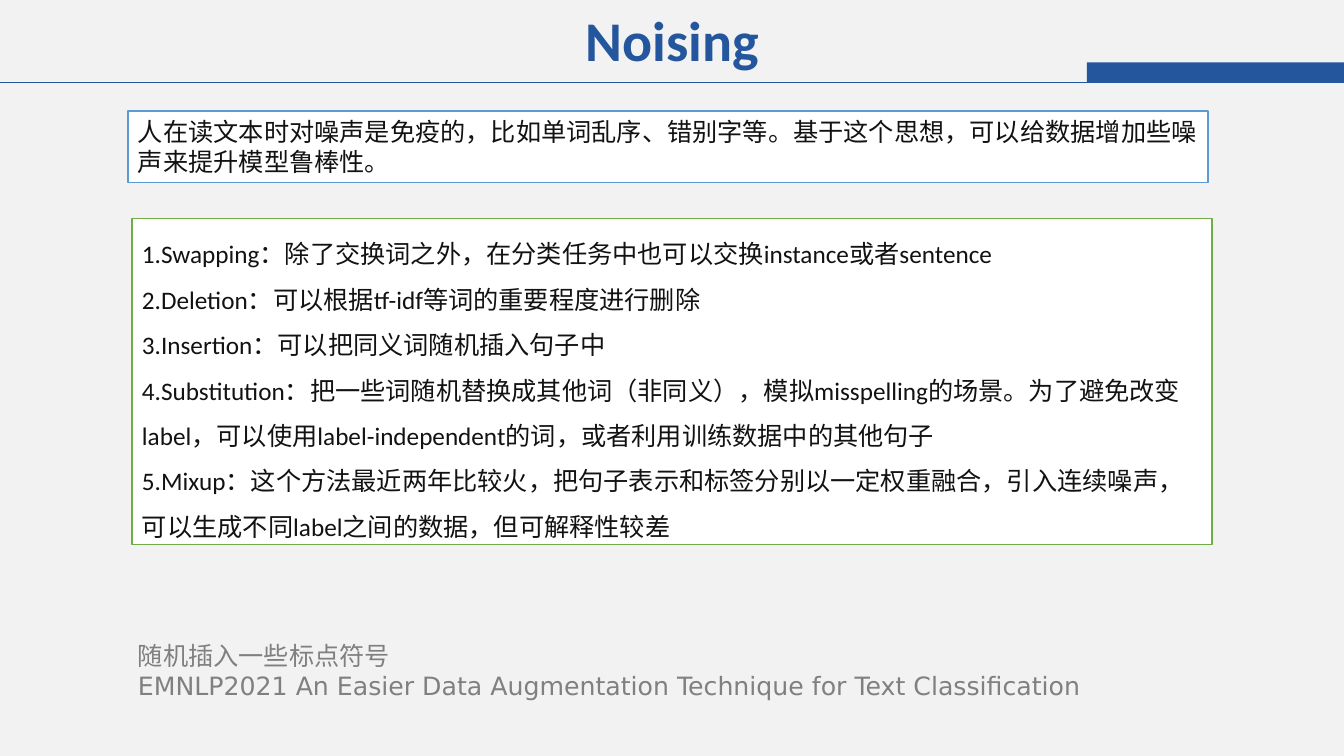
"""Build the Noising slide: title, premise, five methods and a source note."""
from lxml import etree
from pptx import Presentation
from pptx.dml.color import RGBColor
from pptx.enum.shapes import MSO_CONNECTOR, MSO_SHAPE
from pptx.enum.text import MSO_ANCHOR, MSO_AUTO_SIZE, PP_ALIGN
from pptx.oxml.ns import qn
from pptx.util import Inches, Pt

RECT, LINE = MSO_SHAPE.RECTANGLE, MSO_CONNECTOR.STRAIGHT
TOP, GROW = MSO_ANCHOR.TOP, MSO_AUTO_SIZE.SHAPE_TO_FIT_TEXT
LEFT, CENTER = PP_ALIGN.LEFT, PP_ALIGN.CENTER

COLORS = {"back": "F2F2F2", "navy": "24569D", "blue": "5B9BD5", "green": "70AD47",
          "white": "FFFFFF", "ink": "121212", "gray": "808080"}
WIDTH, HEIGHT = 13.33, 7.5
RULE_Y = 0.82
TITLE = "Noising"
PREMISE = ["人在读文本时对噪声是免疫的，比如单词乱序、错别字等。基于这个思想，可以给数据增加些噪声来提升模型鲁棒性。"]
METHODS = [
    "Swapping：除了交换词之外，在分类任务中也可以交换instance或者sentence",
    "Deletion：可以根据tf-idf等词的重要程度进行删除",
    "Insertion：可以把同义词随机插入句子中",
    "Substitution：把一些词随机替换成其他词（非同义），模拟misspelling的场景。"
    "为了避免改变label，可以使用label-independent的词，或者利用训练数据中的其他句子",
    "Mixup：这个方法最近两年比较火，把句子表示和标签分别以一定权重融合，"
    "引入连续噪声，可以生成不同label之间的数据，但可解释性较差",
]
NOTE = ["随机插入一些标点符号",
        "EMNLP2021 An Easier Data Augmentation Technique for Text Classification"]


def color(name):
    return RGBColor.from_string(COLORS[name])


def place(*box):
    return [Inches(v) for v in box]


def panel(slide, box, fill, edge=None):
    shape = slide.shapes.add_shape(RECT, *place(*box))
    shape.shadow.inherit = False
    shape.fill.solid()
    shape.fill.fore_color.rgb = color(fill)
    if edge:
        shape.line.color.rgb = color(edge)
        shape.line.width = Pt(1)
    else:
        shape.line.fill.background()
    return shape


def write(shape, lines, ink, face="Calibri", size=18, bold=False,
          align=LEFT, wrap=True, space=None, count=False):
    frame = shape.text_frame
    frame.word_wrap = wrap
    frame.auto_size = GROW
    frame.vertical_anchor = TOP
    for i, line in enumerate(lines):
        para = frame.add_paragraph() if i else frame.paragraphs[0]
        para.alignment = align
        if space:
            para.line_spacing = space
        if count:
            mark = etree.SubElement(para._p.get_or_add_pPr(), qn("a:buAutoNum"))
            mark.set("type", "arabicPeriod")
        run = para.add_run()
        run.text = line
        run.font.name = face
        run.font.size = Pt(size)
        run.font.bold = bold
        run.font.color.rgb = color(ink)


def main():
    deck = Presentation()
    deck.slide_width, deck.slide_height = place(WIDTH, HEIGHT)
    slide = deck.slides.add_slide(deck.slide_layouts[5])
    slide.background.fill.solid()
    slide.background.fill.fore_color.rgb = color("back")

    panel(slide, (10.78, RULE_Y - 0.2, WIDTH - 10.78, 0.2), "navy")
    rule = slide.shapes.add_connector(LINE, *place(0, RULE_Y, WIDTH, RULE_Y))
    rule.line.color.rgb = color("navy")
    rule.line.width = Pt(0.5)
    etree.SubElement(rule._element.spPr, qn("a:effectLst"))

    title = slide.shapes.title
    title.left, title.top, title.width, title.height = place(5.7, 0, 1.94, 0.77)
    write(title, [TITLE], "navy", size=40, bold=True, align=CENTER, wrap=False)

    write(panel(slide, (1.27, 1.1, 10.71, 0.71), "white", "blue"), PREMISE, "ink")
    write(panel(slide, (1.31, 2.17, 10.71, 3.23), "white", "green"), METHODS, "ink",
          space=1.5, count=True)
    note = slide.shapes.add_textbox(*place(1.27, 6.3, 10.47, 0.71))
    write(note, NOTE, "gray", face="DejaVu Sans")
    deck.save("out.pptx")


if __name__ == "__main__":
    main()
